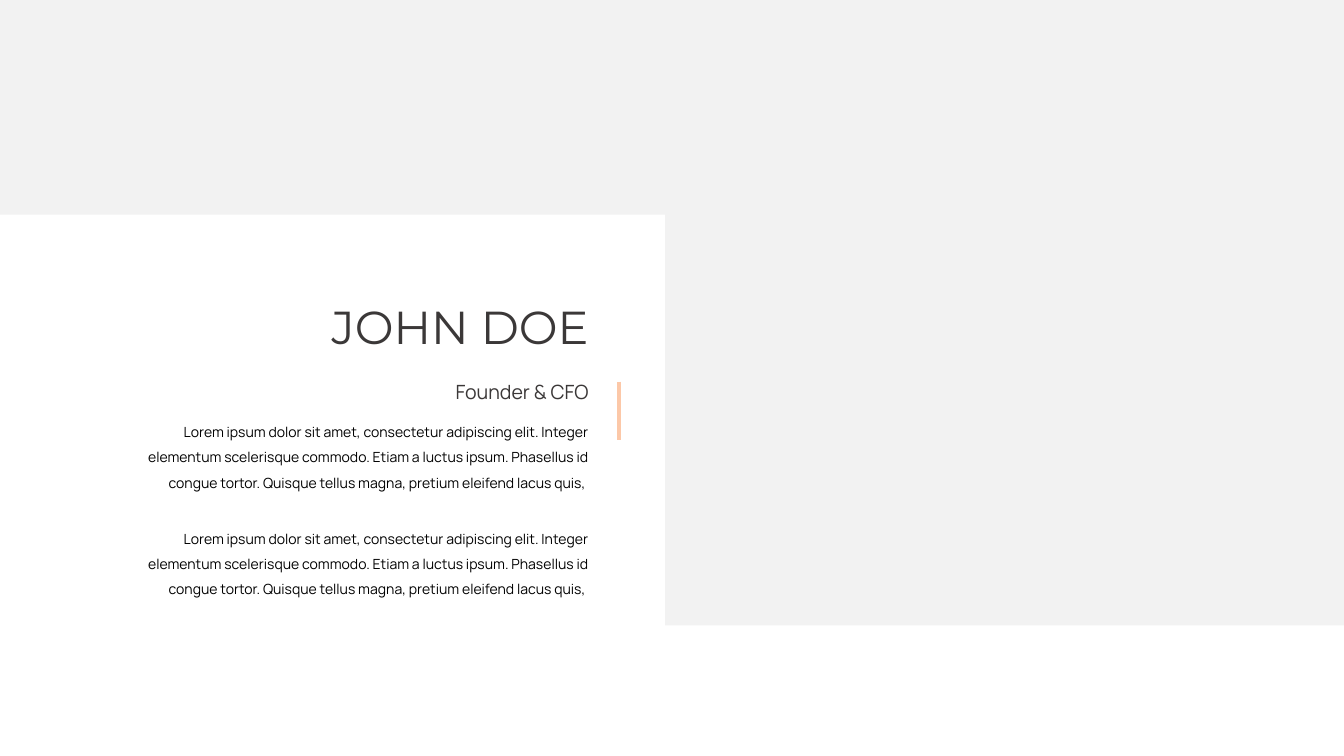
from pptx import Presentation
from pptx.dml.color import RGBColor
from pptx.enum.shapes import MSO_CONNECTOR, MSO_SHAPE
from pptx.enum.text import MSO_ANCHOR, MSO_AUTO_SIZE, PP_ALIGN
from pptx.oxml.ns import qn
from pptx.util import Inches, Pt
from lxml.etree import SubElement

WIDE, HIGH = 26.67, 15


def color(code):
    return RGBColor.from_string(code)


def write(box, place, text, size, face, ink, lead):
    box.left, box.top, box.width, box.height = map(Inches, place)
    frame = box.text_frame
    frame.text = text
    look = {
        "word_wrap": True,
        "auto_size": MSO_AUTO_SIZE.NONE,
        "vertical_anchor": MSO_ANCHOR.TOP,
        "margin_left": Inches(0.1),
        "margin_right": Inches(0.1),
        "margin_top": Inches(0.05),
        "margin_bottom": Inches(0.05),
    }
    for name, value in look.items():
        setattr(frame, name, value)
    para = frame.paragraphs[0]
    rules = {"alignment": PP_ALIGN.RIGHT, "line_spacing": lead,
             "space_before": Pt(0), "space_after": Pt(0)}
    for name, value in rules.items():
        setattr(para, name, value)
    # No bullet, no hanging indent
    props = para._p.get_or_add_pPr()
    props.set("marL", "0")
    props.set("indent", "0")
    SubElement(props, qn("a:buNone"))
    font = para.runs[0].font
    for name, value in {"name": face, "size": Pt(size), "bold": False}.items():
        setattr(font, name, value)
    font.color.rgb = color(ink)


deck = Presentation()
deck.slide_width, deck.slide_height = Inches(WIDE), Inches(HIGH)
slide = deck.slides.add_slide(deck.slide_layouts[4])
shapes = slide.shapes
holders = {item.placeholder_format.idx: item for item in slide.placeholders}

# Grey panels: top band and right half
half = 13.2
for place in [(0, 0, WIDE, 4.26), (half, 3.14, WIDE - half, 9.27)]:
    panel = shapes.add_shape(MSO_SHAPE.RECTANGLE, *map(Inches, place))
    panel.shadow.inherit = False
    panel.fill.solid()
    panel.fill.fore_color.rgb = color("F2F2F2")
    panel.line.fill.background()

# Name, role and two text blocks share one right edge
edge, span = 11.78, 9.26
left = edge - span
lorem = ("Lorem ipsum dolor sit amet, consectetur adipiscing elit. Integer "
         "elementum scelerisque commodo. Etiam a luctus ipsum. Phasellus id "
         "congue tortor. Quisque tellus magna, pretium eleifend lacus quis, ")
write(holders[0], (edge - 7.76, 5.87, 7.76, 1.21),
      "JOHN DOE", 66, "Montserrat", "3B3838", 1)
write(holders[1], (left, 7.49, span, 0.57),
      "Founder & CFO", 28, "Manrope", "3B3838", 1)
for slot, top in [(2, 8.19), (4, 10.3)]:
    write(holders[slot], (left, top, span, 1.62),
          lorem, 20, "Manrope", "000000", 1.5)

# Unused placeholder
spare = holders[3].element
spare.getparent().remove(spare)

# Accent bar
mark = Inches(12.29)
bar = shapes.add_connector(MSO_CONNECTOR.STRAIGHT,
                           mark, Inches(7.57), mark, Inches(8.74))
bar.line.color.rgb = color("FCC8A8")
bar.line.width = Pt(6)
SubElement(bar.element.spPr, qn("a:effectLst"))

deck.save("out.pptx")
